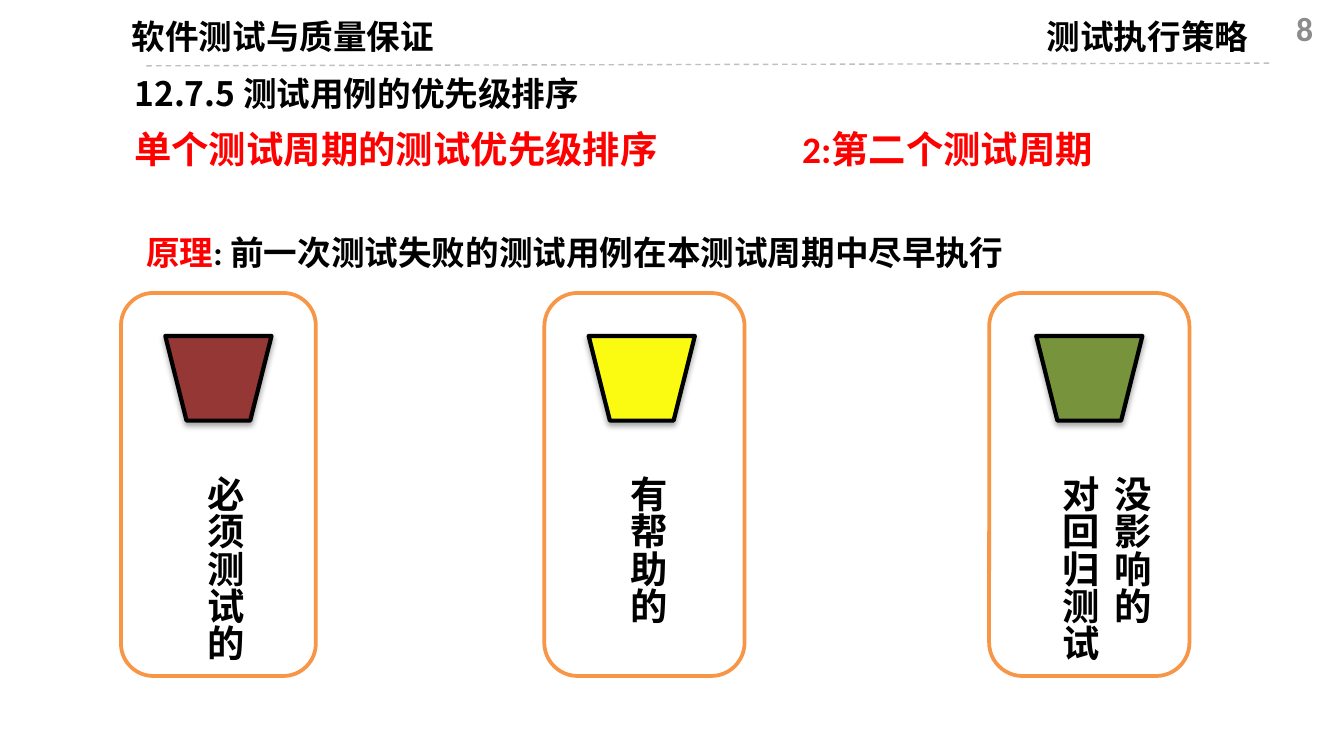
from dataclasses import dataclass
from lxml.etree import SubElement
from pptx import Presentation
from pptx.dml.color import RGBColor as Rgb
from pptx.enum.dml import MSO_LINE as Dash
from pptx.enum.shapes import MSO_CONNECTOR as Conn, MSO_SHAPE as Kind
from pptx.enum.text import MSO_ANCHOR as Anchor, MSO_AUTO_SIZE as Fit, PP_ALIGN as Align
from pptx.oxml.ns import qn
from pptx.util import Emu, Pt

SCALE = 9144


@dataclass(frozen=True)
class Theme:
    black: str = "000000"
    red: str = "FF0000"
    gray: str = "8C8C8C"
    rule: str = "BFBFBF"
    frame: str = "F79646"
    brick: str = "953735"
    yellow: str = "FBFB11"
    green: str = "77933C"
    latin: str = "Calibri"
    asian: str = "Noto Sans CJK SC"
    small: int = 18
    large: int = 20


@dataclass(frozen=True)
class Box:
    x: int
    y: int
    w: int
    h: int


@dataclass(frozen=True)
class Run:
    text: str
    color: str
    size: int = Theme.small
    face: str = Theme.latin


@dataclass(frozen=True)
class Label:
    box: Box
    runs: tuple[Run, ...]
    align: Align = Align.LEFT
    anchor: Anchor = Anchor.TOP


@dataclass(frozen=True)
class Group:
    x: int
    w: int
    cup: int
    color: str
    words: tuple[str, ...]


LOOK = Theme()
WIDE = 1000
CUP_W, CUP_H = 79, 63
TEXT_W, TEXT_H = 54, 160

TITLE = Label(
    Box(90, 49, 724, 40),
    (Run("12.7.5 测试用例的优先级排序", LOOK.black, face=LOOK.asian),),
)
LABELS = (
    Label(
        Box(62, 7, 297, 40),
        (Run("软件测试与质量保证", LOOK.black, face=LOOK.asian),),
        Align.CENTER,
    ),
    Label(Box(769, 7, 378, 40), (Run("测试执行策略", LOOK.black),)),
    Label(
        Box(90, 89, 445, 44),
        (Run("单个测试周期的测试优先级排序", LOOK.red, LOOK.large),),
    ),
    Label(Box(754, 6, 233, 30), (Run("8", LOOK.gray),), Align.RIGHT, Anchor.MIDDLE),
    Label(Box(587, 89, 445, 44), (Run("2:第二个测试周期", LOOK.red, LOOK.large),)),
    Label(
        Box(99, 168, 826, 40),
        (
            Run("原理", LOOK.red),
            Run(": 前一次测试失败的测试用例在本测试周期中尽早执行", LOOK.black),
        ),
    ),
)
GROUPS = (
    Group(90, 145, 123, LOOK.brick, ("必须测试的",)),
    Group(405, 149, 438, LOOK.yellow, ("有帮助的",)),
    Group(736, 149, 771, LOOK.green, ("对回归测试", "没影响的")),
)


def px(n: int) -> Emu:
    return Emu(n * SCALE)


def place(box: Box) -> tuple[Emu, ...]:
    return px(box.x), px(box.y), px(box.w), px(box.h)


def write(shape, label: Label) -> None:
    frame = shape.text_frame
    form = {"word_wrap": True, "auto_size": Fit.NONE, "vertical_anchor": label.anchor}
    for key, value in form.items():
        setattr(frame, key, value)
    para = frame.paragraphs[0]
    para.alignment = label.align
    for part in label.runs:
        run = para.add_run()
        run.text = part.text
        form = {"name": part.face, "size": Pt(part.size), "bold": True}
        for key, value in form.items():
            setattr(run.font, key, value)
        run.font.color.rgb = Rgb.from_string(part.color)
        latin = run.font._element.find(qn("a:latin"))
        asian = latin.makeelement(qn("a:ea"), {"typeface": LOOK.asian})
        latin.addnext(asian)


def add_text(slide, label: Label):
    shape = slide.shapes.add_textbox(*place(label.box))
    write(shape, label)
    return shape


def add_title(slide, label: Label) -> None:
    shape = slide.shapes.title
    for key, value in zip(("left", "top", "width", "height"), place(label.box)):
        setattr(shape, key, value)
    write(shape, label)


def add_form(slide, kind: Kind, box: Box, line: str, width: float, fill: str = ""):
    shape = slide.shapes.add_shape(kind, *place(box))
    if fill:
        shape.fill.solid()
        shape.fill.fore_color.rgb = Rgb.from_string(fill)
    else:
        shape.fill.background()
    shape.line.color.rgb = Rgb.from_string(line)
    shape.line.width = Pt(width)
    shape.shadow.inherit = False
    return shape


def add_shade(shape) -> None:
    form = {"blurRad": Pt(3.1), "dist": Pt(1.8), "dir": 90 * 60000, "rotWithShape": 0}
    effect = shape._element.spPr.find(qn("a:effectLst"))
    shade = SubElement(effect, qn("a:outerShdw"), {k: str(int(v)) for k, v in form.items()})
    color = SubElement(shade, qn("a:srgbClr"), val=LOOK.black)
    SubElement(color, qn("a:alpha"), val="35000")


def add_rule(slide) -> None:
    rule = slide.shapes.add_connector(Conn.STRAIGHT, px(109), px(49), px(947), px(47))
    rule.line.color.rgb = Rgb.from_string(LOOK.rule)
    rule.line.width = Pt(0.75)
    rule.line.dash_style = Dash.DASH
    SubElement(rule._element.spPr, qn("a:effectLst"))


def add_group(slide, group: Group) -> None:
    cup = Box(group.cup, 250, CUP_W, CUP_H)
    add_shade(
        add_form(slide, Kind.FLOWCHART_MANUAL_OPERATION, cup, LOOK.black, 2.25, group.color)
    )
    left = group.cup + (0 if len(group.words) > 1 else (CUP_W - TEXT_W) // 2)
    for i, word in enumerate(group.words):
        box = Box(left + 39 * i, 344, TEXT_W, TEXT_H)
        text = add_text(slide, Label(box, (Run(word, LOOK.black, LOOK.large),)))
        text.text_frame._txBody.bodyPr.set("vert", "eaVert")
    add_form(slide, Kind.ROUNDED_RECTANGLE, Box(group.x, 218, group.w, 285), LOOK.frame, 2)


def main() -> None:
    deck = Presentation()
    deck.slide_width, deck.slide_height = px(WIDE), Emu(px(WIDE) * 9 // 16)
    slide = deck.slides.add_slide(deck.slide_layouts[5])
    add_title(slide, TITLE)
    add_rule(slide)
    for label in LABELS:
        add_text(slide, label)
    for group in GROUPS:
        add_group(slide, group)
    deck.save("out.pptx")


if __name__ == "__main__":
    main()
